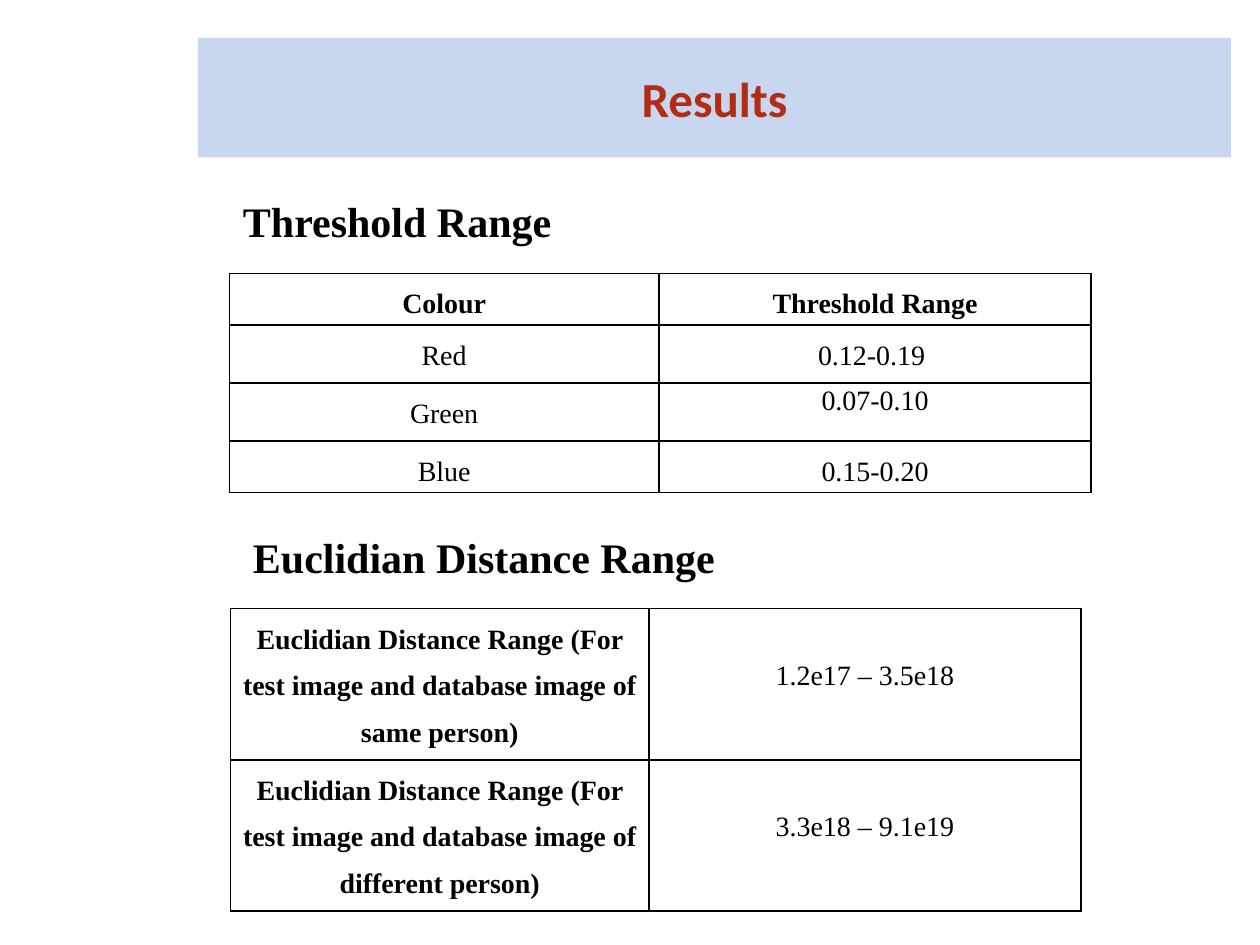
from dataclasses import dataclass

import pptx
import pptx.dml.color
import pptx.enum.text
import pptx.oxml
import pptx.oxml.ns
import pptx.slide
import pptx.table
import pptx.text.text
import pptx.util

Inches = pptx.util.Inches
Pt = pptx.util.Pt
RGBColor = pptx.dml.color.RGBColor
ALIGN = pptx.enum.text.PP_ALIGN
ANCHOR = pptx.enum.text.MSO_ANCHOR

BLACK = RGBColor(0x00, 0x00, 0x00)
RED = RGBColor(0xB3, 0x2C, 0x16)
BLUE = RGBColor(0xC8, 0xD6, 0xF0)
SERIF = "Times New Roman"


@dataclass
class Cell:
    text: str
    bold: bool = False
    space: float = 1.5
    top: float = 0


@dataclass
class Grid:
    left: float
    top: float
    cols: list[float]
    rows: list[float]
    cells: list[list[Cell]]


@dataclass
class Head:
    text: str
    left: float
    top: float
    width: float


HEADS = [
    Head("Threshold Range", 1.83, 1.5, 2.67),
    Head("Euclidian Distance Range", 1.91, 4.17, 3.9),
]

GRIDS = [
    Grid(1.82, 2.17, [3.41, 3.43], [0.41, 0.46, 0.46, 0.41], [
        [Cell("Colour", True), Cell("Threshold Range", True)],
        [Cell("Red"), Cell("0.12-0.19 ")],
        [Cell("Green"), Cell("0.07-0.10", space=1.07)],
        [Cell("Blue"), Cell("0.15-0.20")],
    ]),
    Grid(1.83, 4.83, [3.32, 3.43], [1.2, 1.2], [
        [Cell(f"Euclidian Distance Range (For test image and database image of {who} person)", True),
         Cell(span, top=0.29)]
        for who, span in [("same", "1.2e17 – 3.5e18"), ("different", "3.3e18 – 9.1e19")]
    ]),
]


def style(para: pptx.text.text._Paragraph, size: int, bold: bool,
          face: str = SERIF, color: RGBColor = BLACK) -> None:
    para.font.name = face
    para.font.size = Pt(size)
    para.font.bold = bold
    para.font.color.rgb = color


def border(box: pptx.table._Cell) -> None:
    props = box._tc.get_or_add_tcPr()
    space = pptx.oxml.ns.nsdecls("a")
    for n, side in enumerate(("lnL", "lnR", "lnT", "lnB")):
        line = pptx.oxml.parse_xml(
            f'<a:{side} {space} w="{Pt(1)}"><a:solidFill>'
            f'<a:srgbClr val="{BLACK}"/></a:solidFill></a:{side}>')
        props.insert(n, line)


def draw_cell(box: pptx.table._Cell, cell: Cell) -> None:
    box.margin_left = box.margin_right = Inches(0.07)
    box.margin_top = Inches(cell.top)
    box.margin_bottom = 0
    box.vertical_anchor = ANCHOR.TOP
    box.fill.background()
    border(box)
    box.text = cell.text
    para = box.text_frame.paragraphs[0]
    para.alignment = ALIGN.CENTER
    para.line_spacing = cell.space
    style(para, 16, cell.bold)


def draw_grid(slide: pptx.slide.Slide, grid: Grid) -> None:
    table = slide.shapes.add_table(
        len(grid.rows), len(grid.cols), Inches(grid.left), Inches(grid.top),
        Inches(sum(grid.cols)), Inches(sum(grid.rows))).table
    table.first_row = table.horz_banding = False
    for col, width in zip(table.columns, grid.cols):
        col.width = Inches(width)
    for row, height, cells in zip(table.rows, grid.rows, grid.cells):
        row.height = Inches(height)
        for box, cell in zip(row.cells, cells):
            draw_cell(box, cell)


def draw_head(slide: pptx.slide.Slide, head: Head) -> None:
    frame = slide.shapes.add_textbox(
        Inches(head.left), Inches(head.top), Inches(head.width), Inches(0.5)).text_frame
    frame.word_wrap = False
    frame.auto_size = pptx.enum.text.MSO_AUTO_SIZE.SHAPE_TO_FIT_TEXT
    frame.text = head.text
    style(frame.paragraphs[0], 24, True)


def draw_title(slide: pptx.slide.Slide) -> None:
    title = slide.shapes.title
    title.left, title.top = Inches(1.57), Inches(0.3)
    title.width, title.height = Inches(8.2), Inches(0.95)
    title.fill.solid()
    title.fill.fore_color.rgb = BLUE
    title.text_frame.text = "Results"
    title.text_frame.vertical_anchor = ANCHOR.MIDDLE
    para = title.text_frame.paragraphs[0]
    para.alignment = ALIGN.CENTER
    style(para, 28, True, "Calibri", RED)


def main() -> None:
    deck = pptx.Presentation()
    deck.slide_width, deck.slide_height = Inches(10), Inches(7.5)
    slide = deck.slides.add_slide(deck.slide_layouts[5])
    draw_title(slide)
    for head, grid in zip(HEADS, GRIDS):
        draw_head(slide, head)
        draw_grid(slide, grid)
    deck.save("out.pptx")


if __name__ == "__main__":
    main()
